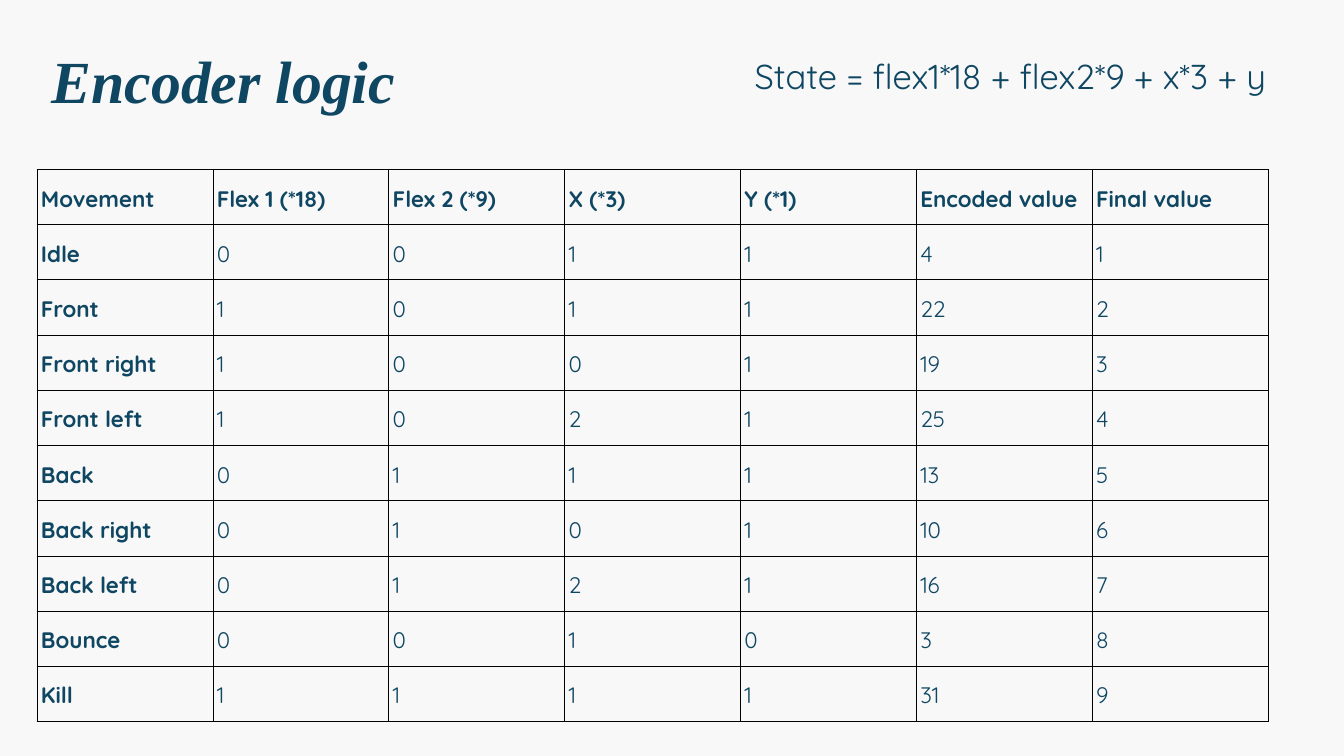
from lxml.etree import SubElement
from pptx import Presentation
from pptx.dml.color import RGBColor
from pptx.enum.text import MSO_ANCHOR, MSO_AUTO_SIZE, PP_ALIGN
from pptx.oxml.ns import qn
from pptx.util import Inches, Pt

# Content: the last two columns follow from the formula and the row order
TITLE = "Encoder logic"
FORMULA = "State = flex1*18 + flex2*9 + x*3 + y"
WEIGHTS = (18, 9, 3, 1)
HEADER = ("Movement", "Flex 1 (*18)", "Flex 2 (*9)", "X (*3)", "Y (*1)",
          "Encoded value", "Final value")
MOVEMENTS = [
    ("Idle", (0, 0, 1, 1)),
    ("Front", (1, 0, 1, 1)),
    ("Front right", (1, 0, 0, 1)),
    ("Front left", (1, 0, 2, 1)),
    ("Back\N{NO-BREAK SPACE}", (0, 1, 1, 1)),
    ("Back right", (0, 1, 0, 1)),
    ("Back left", (0, 1, 2, 1)),
    ("Bounce", (0, 0, 1, 0)),
    ("Kill", (1, 1, 1, 1)),
]

THEME = {
    "paper": "F8F8F8", "ink": "0F4662", "grid": "000000", "grid_pt": 0.75,
    "title": {"font": "Times New Roman", "size": 64, "leading": 89.6},
    "formula": {"font": "Quicksand", "size": 37, "leading": 51.8},
    "cell": {"font": "Quicksand", "size": 24, "leading": 33.6},
}
TABLE_BOX = (0.55, 2.52, 18.32, 8.22)
CELL_INSET = 0.06


def write(tf, text, style, align=PP_ALIGN.LEFT, bold=False, italic=False):
    p = tf.paragraphs[0]
    p.alignment = align
    p.line_spacing = Pt(style["leading"])
    p.space_before = Pt(0)
    r = p.add_run()
    r.text = text
    r.font.name, r.font.size = style["font"], Pt(style["size"])
    r.font.bold, r.font.italic = bold, italic
    r.font.color.rgb = RGBColor.from_string(THEME["ink"])


def set_frame(sp, left, top, width, height):
    sp.left, sp.top = Inches(left), Inches(top)
    sp.width, sp.height = Inches(width), Inches(height)
    tf = sp.text_frame
    tf.margin_left = tf.margin_top = tf.margin_right = tf.margin_bottom = 0
    tf.word_wrap = True
    tf.auto_size = MSO_AUTO_SIZE.SHAPE_TO_FIT_TEXT
    tf.vertical_anchor = MSO_ANCHOR.TOP
    return tf


def format_cell(cell):
    inset = Inches(CELL_INSET)
    cell.margin_left = cell.margin_right = inset
    cell.margin_top = cell.margin_bottom = inset
    cell.vertical_anchor = MSO_ANCHOR.MIDDLE
    tcPr = cell._tc.get_or_add_tcPr()
    for side in ("a:lnL", "a:lnR", "a:lnT", "a:lnB"):
        ln = SubElement(tcPr, qn(side), w=str(Pt(THEME["grid_pt"])))
        fill = SubElement(ln, qn("a:solidFill"))
        SubElement(fill, qn("a:srgbClr"), val=THEME["grid"])
    cell.fill.background()


def add_table(s, rows):
    left, top, width, height = map(Inches, TABLE_BOX)
    frame = s.shapes.add_table(len(rows), len(HEADER), left, top, width, height)
    table = frame.table
    table.horz_banding = False
    for column in table.columns:
        column.width = width // len(HEADER)
    for row in table.rows:
        row.height = height // len(rows)
    for i, values in enumerate(rows):
        for j, value in enumerate(values):
            cell = table.cell(i, j)
            format_cell(cell)
            write(cell.text_frame, str(value), THEME["cell"],
                  bold=i == 0 or j == 0)


def main():
    prs = Presentation()
    prs.slide_width, prs.slide_height = Inches(20), Inches(11.25)
    s = prs.slides.add_slide(prs.slide_layouts[5])
    s.background.fill.solid()
    s.background.fill.fore_color.rgb = RGBColor.from_string(THEME["paper"])

    # Encoding table
    rows = [HEADER]
    for number, (name, inputs) in enumerate(MOVEMENTS, start=1):
        encoded = sum(w * v for w, v in zip(WEIGHTS, inputs))
        rows.append((name, *inputs, encoded, number))
    add_table(s, rows)

    # Title
    tf = set_frame(s.shapes.title, 0.77, 0.47, 10.33, 1.19)
    write(tf, TITLE, THEME["title"], bold=True, italic=True)

    # Formula
    tf = set_frame(s.shapes.add_textbox(0, 0, 0, 0), 11.2, 0.71, 7.67, 1.41)
    write(tf, FORMULA, THEME["formula"], align=PP_ALIGN.CENTER)

    prs.save("out.pptx")


if __name__ == "__main__":
    main()
